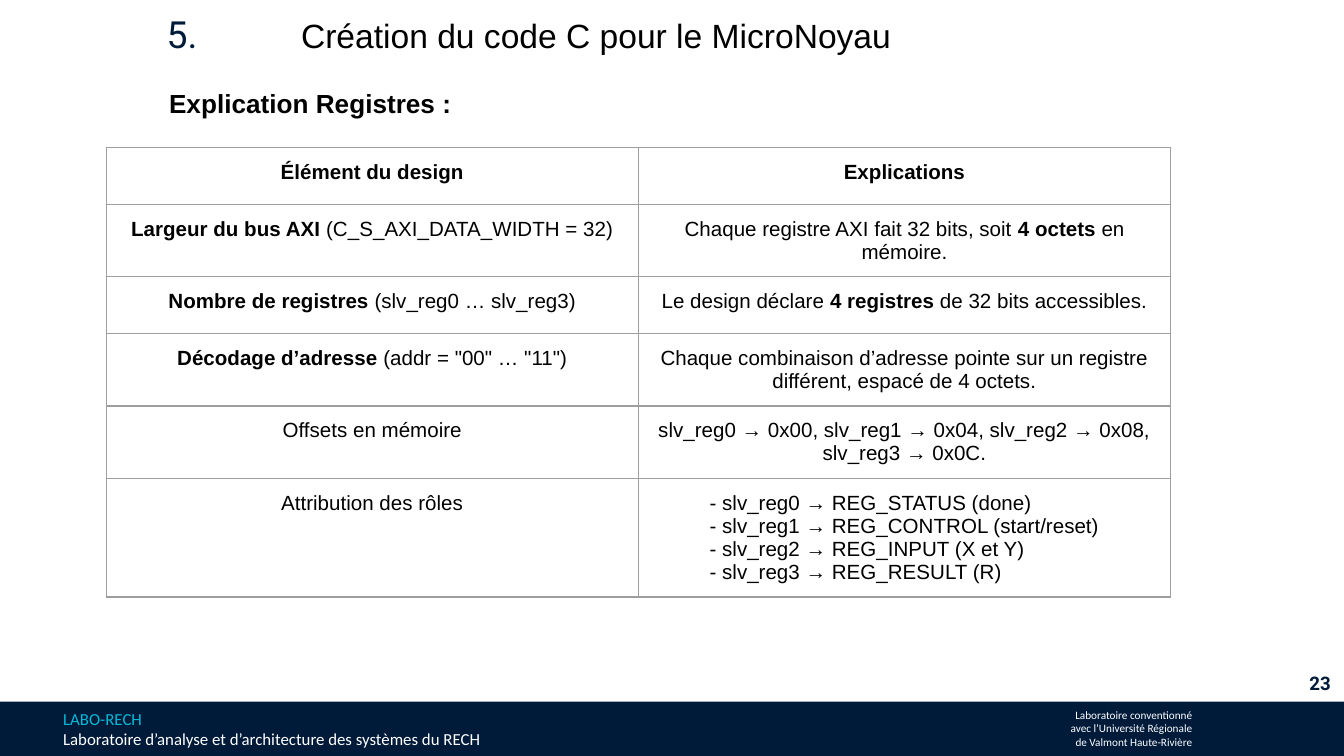
from lxml import etree
from pptx import Presentation
from pptx.dml.color import RGBColor
from pptx.enum.shapes import MSO_SHAPE
from pptx.enum.text import MSO_ANCHOR, MSO_AUTO_SIZE, PP_ALIGN
from pptx.oxml.ns import qn
from pptx.util import Inches, Pt

RECTANGLE = MSO_SHAPE.RECTANGLE
TOP, MIDDLE = MSO_ANCHOR.TOP, MSO_ANCHOR.MIDDLE
LEFT, CENTER, RIGHT = PP_ALIGN.LEFT, PP_ALIGN.CENTER, PP_ALIGN.RIGHT
NO_RESIZE = MSO_AUTO_SIZE.NONE

WIDTH = 10
HEIGHT = WIDTH * 9 / 16
COLORS = {"navy": "001A3A", "cyan": "00BAD7", "white": "FFFFFF",
          "black": "000000", "grid": "9E9E9E"}
ROWS = [
    ("**Élément du design**", "**Explications**"),
    ("**Largeur du bus AXI** (C_S_AXI_DATA_WIDTH = 32)",
     "Chaque registre AXI fait 32 bits, soit **4 octets** en mémoire."),
    ("**Nombre de registres** (slv_reg0 … slv_reg3)",
     "Le design déclare **4 registres** de 32 bits accessibles."),
    ("**Décodage d’adresse** (addr = \"00\" … \"11\")",
     "Chaque combinaison d’adresse pointe sur un registre différent, espacé de 4 octets."),
    ("Offsets en mémoire",
     "slv_reg0 → 0x00, slv_reg1 → 0x04, slv_reg2 → 0x08, slv_reg3 → 0x0C."),
]
ROLES = ["- slv_reg0 → REG_STATUS (done)", "- slv_reg1 → REG_CONTROL (start/reset)",
         "- slv_reg2 → REG_INPUT (X et Y)", "- slv_reg3 → REG_RESULT (R)"]
LINE_COUNTS = [1, 2, 1, 2, 2, 4]


def add_text(paragraph, text, font="Arial", size=11, color="black", align=LEFT, indent=0):
    paragraph.alignment = align
    if indent:
        paragraph._p.get_or_add_pPr().set("marL", str(Inches(indent)))
    for index, part in enumerate(text.split("**")):
        if part:
            run = paragraph.add_run()
            run.text = part
            run.font.name = font
            run.font.size = Pt(size)
            run.font.bold = index % 2 == 1
            run.font.color.rgb = RGBColor.from_string(COLORS[color])


def prepare_frame(frame, anchor=TOP, insets=(0.1, 0.1)):
    frame.word_wrap = True
    frame.auto_size = NO_RESIZE
    frame.vertical_anchor = anchor
    frame.margin_left = frame.margin_right = Inches(insets[0])
    frame.margin_top = frame.margin_bottom = Inches(insets[1])
    return frame


def add_text_box(slide, box, lines, anchor=TOP, insets=(0.1, 0.1), **text_format):
    shape = slide.shapes.add_textbox(*map(Inches, box))
    paragraph = prepare_frame(shape.text_frame, anchor, insets).paragraphs[0]
    for index, (text, color) in enumerate(lines):
        if index:
            paragraph.add_line_break()
        add_text(paragraph, text, color=color, **text_format)


def add_footer(slide, box):
    left, top, width, height = box
    band = slide.shapes.add_shape(RECTANGLE, *map(Inches, box))
    band.shadow.inherit = False
    band.fill.solid()
    band.fill.fore_color.rgb = RGBColor.from_string(COLORS["navy"])
    band.line.fill.background()
    add_text_box(slide, (left + 0.04 * width, top, 0.5 * width, height),
                 [("LABO-RECH", "cyan"),
                  ("Laboratoire d’analyse et d’architecture des systèmes du RECH", "white")],
                 anchor=MIDDLE, insets=(0.07, 0.04), font="Calibri", size=9)
    affiliation = ["Laboratoire conventionné", "avec l’Université Régionale",
                   "de Valmont Haute-Rivière"]
    add_text_box(slide, (left + 0.765 * width, top + 0.01, 0.129 * width, 0.94 * height),
                 [(line, "white") for line in affiliation],
                 insets=(0.07, 0.04), font="Calibri", size=6, align=RIGHT)


def add_heading(slide, box):
    left, top, width, height = box
    title = slide.shapes.title
    title.left, title.top, title.width, title.height = map(
        Inches, (left + 0.01, top, width, 0.61 * height))
    frame = prepare_frame(title.text_frame, MIDDLE, (0.07, 0.07))
    frame.margin_bottom = Inches(0.1)
    paragraph = frame.paragraphs[0]
    add_text(paragraph, "5.\t", font="Roboto", size=20, color="navy")
    add_text(paragraph, "Création du code C pour le MicroNoyau", size=18)
    tab_stops = etree.SubElement(paragraph._p.get_or_add_pPr(), qn("a:tabLst"))
    etree.SubElement(tab_stops, qn("a:tab"), pos=str(Inches(1)), algn="l")
    add_text_box(slide, (left, top + 0.63 * height, 2.37, 0.37 * height),
                 [("**Explication Registres :**", "black")], size=14)


def format_cell(cell):
    cell.margin_left = cell.margin_right = Inches(0.1)
    cell.margin_top = cell.margin_bottom = Inches(0.1)
    cell.vertical_anchor = TOP
    properties = cell._tc.get_or_add_tcPr()
    for side in ("a:lnL", "a:lnR", "a:lnT", "a:lnB"):
        line = etree.SubElement(properties, qn(side), w=str(Pt(0.75)))
        fill = etree.SubElement(line, qn("a:solidFill"))
        etree.SubElement(fill, qn("a:srgbClr"), val=COLORS["grid"])
    cell.fill.background()


def add_register_table(slide, box):
    rows = [[[text] for text in row] for row in ROWS] + [[["Attribution des rôles"], ROLES]]
    table = slide.shapes.add_table(len(rows), 2, *map(Inches, box)).table
    table.first_row = table.horz_banding = False
    for column in table.columns:
        column.width = Inches(box[2] / 2)
    for row, cells, line_count in zip(table.rows, rows, LINE_COUNTS):
        row.height = Inches(max(0.42, 0.2 + 0.17 * line_count))
        for cell, lines in zip(row.cells, cells):
            format_cell(cell)
            is_list = len(lines) > 1
            frame = cell.text_frame
            for index, text in enumerate(lines):
                paragraph = frame.add_paragraph() if index else frame.paragraphs[0]
                add_text(paragraph, text, align=LEFT if is_list else CENTER,
                         indent=0.43 if is_list else 0)


def main():
    presentation = Presentation()
    presentation.slide_width, presentation.slide_height = Inches(WIDTH), Inches(HEIGHT)
    slide = presentation.slides.add_slide(presentation.slide_layouts[5])
    footer_top = 0.928 * HEIGHT
    add_footer(slide, (0, footer_top, WIDTH, HEIGHT - footer_top))
    add_text_box(slide, (0.94 * WIDTH, footer_top - 0.32, 0.06 * WIDTH, 0.32),
                 [("**23**", "navy")], font="Roboto", size=10, align=RIGHT)
    add_heading(slide, (1.16, 0, 9.24, 0.87))
    add_register_table(slide, (0.79, 1.1, 7.92, 3.34))
    presentation.save("out.pptx")


if __name__ == "__main__":
    main()
